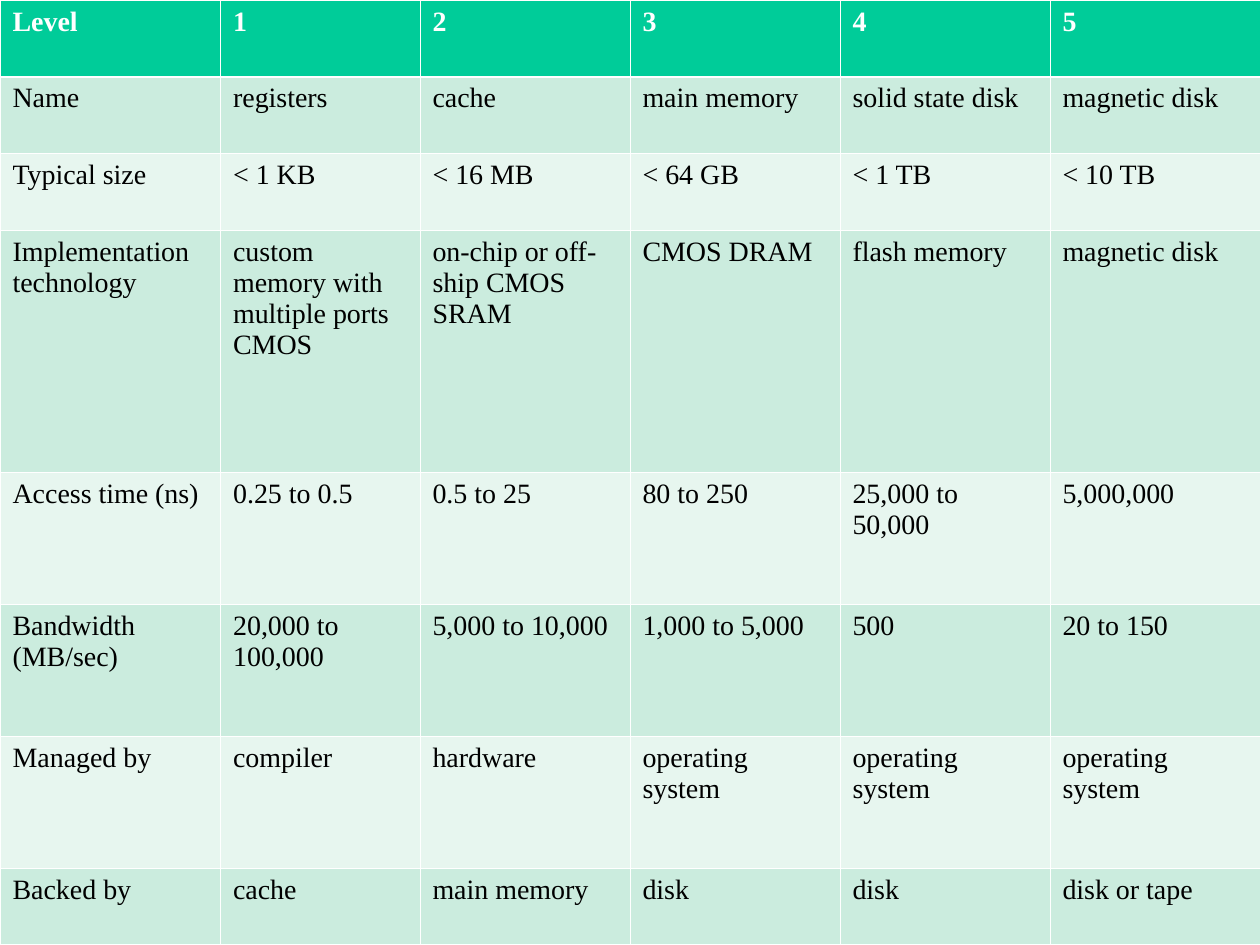
from lxml.etree import SubElement
from pptx import Presentation
from pptx.dml.color import RGBColor
from pptx.oxml.ns import qn
from pptx.util import Inches, Pt

WHITE = RGBColor(0xFF, 0xFF, 0xFF)
BLACK = RGBColor(0x00, 0x00, 0x00)
HEADER_GREEN = RGBColor(0x00, 0xCC, 0x99)
BAND_DARK = RGBColor(0xCB, 0xEC, 0xDE)
BAND_LIGHT = RGBColor(0xE7, 0xF6, 0xEF)

SLIDE_WIDTH = Inches(10)
SLIDE_HEIGHT = Inches(7.5)
COLUMN_WEIGHTS = [1.05, 0.95, 1, 1, 1, 1]
ROW_WEIGHTS = [0.61, 0.61, 0.61, 1.93, 1.05, 1.05, 1.05, 0.61]
THIN_BORDER = Pt(0.45)
HEADER_BORDER = Pt(1.47)

MEMORY_LEVELS = [
    ["Level", "1", "2", "3", "4", "5"],
    ["Name", "registers", "cache", "main memory", "solid state disk", "magnetic disk"],
    ["Typical size", "< 1 KB", "< 16 MB", "< 64 GB", "< 1 TB", "< 10 TB"],
    ["Implementation technology", "custom memory with multiple ports CMOS",
     "on-chip or off-ship CMOS SRAM", "CMOS DRAM", "flash memory", "magnetic disk"],
    ["Access time (ns)", "0.25 to 0.5", "0.5 to 25", "80 to 250",
     "25,000 to 50,000", "5,000,000"],
    ["Bandwidth (MB/sec)", "20,000 to 100,000", "5,000 to 10,000",
     "1,000 to 5,000", "500", "20 to 150"],
    ["Managed by", "compiler", "hardware", "operating system",
     "operating system", "operating system"],
    ["Backed by", "cache", "main memory", "disk", "disk", "disk or tape"],
]


def write_text(text_frame, text, size=16, font="Times New Roman", color=BLACK, bold=False):
    run = text_frame.paragraphs[0].add_run()
    run.text = text
    run.font.size = Pt(size)
    run.font.name = font
    run.font.color.rgb = color
    run.font.bold = bold


def fill_cell(cell, color):
    cell.fill.solid()
    cell.fill.fore_color.rgb = color


def set_borders(cell, top, bottom, color=WHITE):
    properties = cell._tc.get_or_add_tcPr()
    widths = {"a:lnL": THIN_BORDER, "a:lnR": THIN_BORDER, "a:lnT": top, "a:lnB": bottom}
    for position, (side, width) in enumerate(widths.items()):
        line = SubElement(properties, qn(side), w=str(int(width)))
        SubElement(SubElement(line, qn("a:solidFill")), qn("a:srgbClr"), val=str(color))
        properties.insert(position, line)


def share_out(total, weights):
    return [round(total * weight / sum(weights)) for weight in weights]


def format_row(cells, texts, row_index):
    is_header = row_index == 0
    band = BAND_DARK if row_index % 2 else BAND_LIGHT
    for cell, text in zip(cells, texts):
        write_text(cell.text_frame, text, color=WHITE if is_header else BLACK, bold=is_header)
        fill_cell(cell, HEADER_GREEN if is_header else band)
        set_borders(
            cell,
            top=HEADER_BORDER if row_index == 1 else THIN_BORDER,
            bottom=HEADER_BORDER if is_header else THIN_BORDER,
        )


def add_memory_table(slide):
    frame = slide.shapes.add_table(
        len(ROW_WEIGHTS), len(COLUMN_WEIGHTS), 0, 0, SLIDE_WIDTH, SLIDE_HEIGHT
    )
    table = frame.table
    for column, width in zip(table.columns, share_out(SLIDE_WIDTH, COLUMN_WEIGHTS)):
        column.width = width
    for row, height in zip(table.rows, share_out(SLIDE_HEIGHT, ROW_WEIGHTS)):
        row.height = height
    for row_index, (row, texts) in enumerate(zip(table.rows, MEMORY_LEVELS)):
        format_row(row.cells, texts, row_index)


def main():
    presentation = Presentation()
    presentation.slide_width = SLIDE_WIDTH
    presentation.slide_height = SLIDE_HEIGHT
    slide = presentation.slides.add_slide(presentation.slide_layouts[6])
    add_memory_table(slide)
    presentation.save("out.pptx")


if __name__ == "__main__":
    main()
